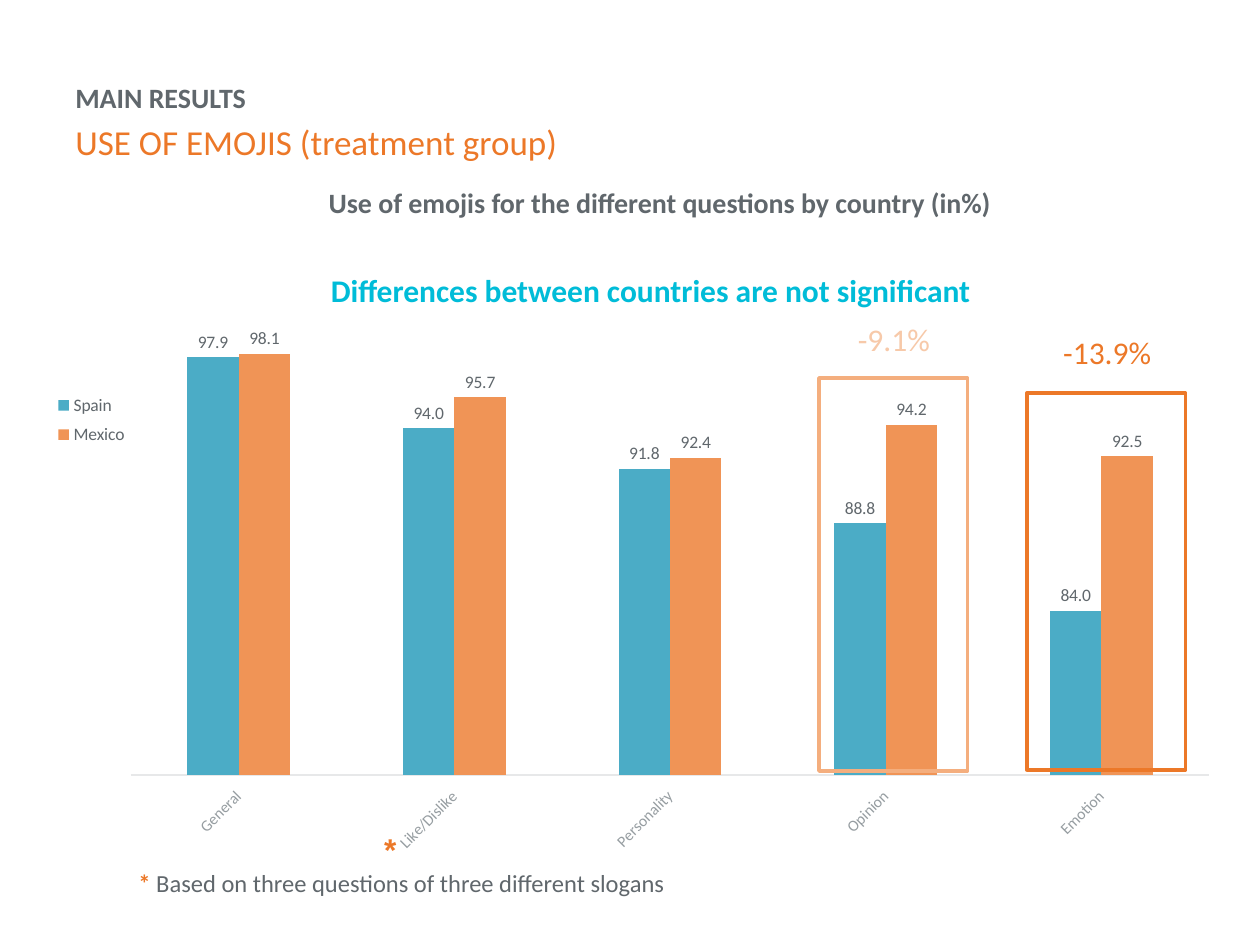
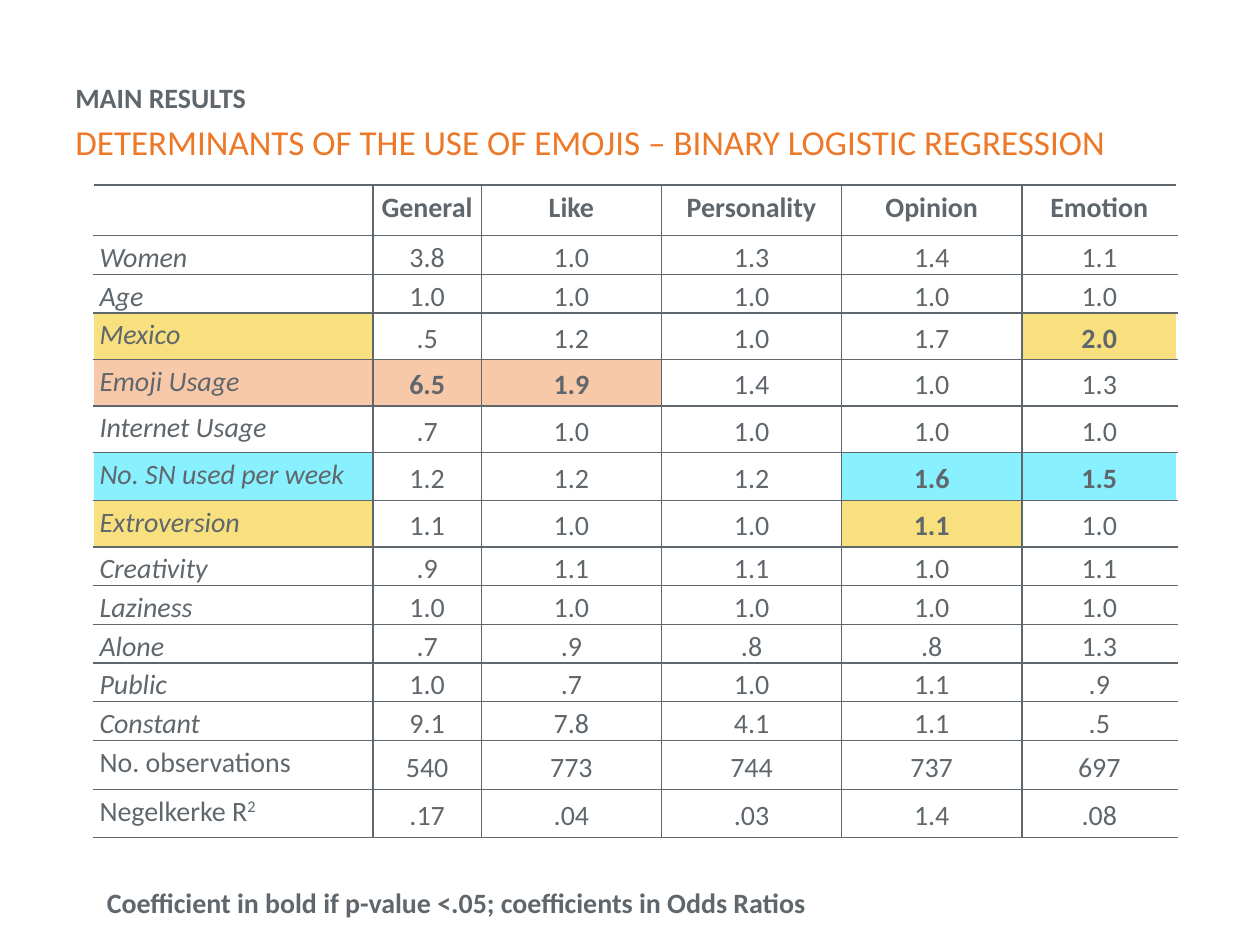
from lxml import etree
from pptx import Presentation
from pptx import util as u
from pptx.chart import data as chart_data
from pptx.dml.color import RGBColor
from pptx.enum import chart as ch, shapes, text as t
from pptx.oxml import ns

GREY, PALE_GREY, RULE = "60676C", "969DA1", "E7E8E9"
ORANGE, MID_ORANGE, PALE_ORANGE = "EC7828", "F4AE7E", "F7C9A9"
SPAIN, MEXICO, CYAN = "4BACC6", "F09456", "00BCD8"
YELLOW, PALE_CYAN = "F7E07D", "89F0FF"
COLUMNS, ROWS = 100, 75  # slide grid

QUESTIONS = ["General", "Like/Dislike", "Personality", "Opinion", "Emotion"]
EMOJI_USE = {
    "Spain": (SPAIN, [97.9, 94.0, 91.8, 88.8, 84.0]),
    "Mexico": (MEXICO, [98.1, 95.7, 92.4, 94.2, 92.5]),
}

# predictor, odds ratios, row height, highlight colour, significant columns
HEADINGS = ["", "General", "Like", "Personality", "Opinion", "Emotion"]
PREDICTORS = [
    ("Women", "3.8 1.0 1.3 1.4 1.1", 3, None, ()),
    ("Age", "1.0 1.0 1.0 1.0 1.0", 3, None, ()),
    ("Mexico", ".5 1.2 1.0 1.7 2.0", 3.7, YELLOW, (5,)),
    ("Emoji Usage", "6.5 1.9 1.4 1.0 1.3", 3.7, PALE_ORANGE, (1, 2)),
    ("Internet Usage", ".7 1.0 1.0 1.0 1.0", 3.7, None, ()),
    ("No. SN used per week", "1.2 1.2 1.2 1.6 1.5", 3.8, PALE_CYAN, (4, 5)),
    ("Extroversion", "1.1 1.0 1.0 1.1 1.0", 3.7, YELLOW, (4,)),
    ("Creativity", ".9 1.1 1.1 1.0 1.1", 3, None, ()),
    ("Laziness", "1.0 1.0 1.0 1.0 1.0", 3, None, ()),
    ("Alone", ".7 .9 .8 .8 1.3", 3, None, ()),
    ("Public", "1.0 .7 1.0 1.1 .9", 3, None, ()),
    ("Constant", "9.1 7.8 4.1 1.1 .5", 3, None, ()),
]
MODEL_FIT = [
    ("No. observations", "540 773 744 737 697", 3.9),
    ("Negelkerke R", ".17 .04 .03 1.4 .08", 3.8),
]


def rgb(color):
    return RGBColor.from_string(color)


def style_font(font, size, color, bold=False, italic=False, name="Calibri"):
    font.name, font.size, font.bold, font.italic = name, u.Pt(size), bold, italic
    font.color.rgb = rgb(color)


def add_run(paragraph, words, size, color, **style):
    run = paragraph.add_run()
    run.text = words
    style_font(run.font, size, color, **style)
    return run


def place_in_chart(parent, index, inner=False, **shares):
    """Give a plot area or legend a fixed place, in shares of the chart."""
    for old in parent.findall(ns.qn("c:layout")):
        parent.remove(old)
    layout = etree.Element(ns.qn("c:layout"))
    manual = etree.SubElement(layout, ns.qn("c:manualLayout"))
    settings = {"layoutTarget": "inner"} if inner else {}
    settings |= {"xMode": "edge", "yMode": "edge"} | shares
    for tag, value in settings.items():
        etree.SubElement(manual, ns.qn(f"c:{tag}")).set("val", str(value))
    parent.insert(index, layout)


def rule_cell(cell, sides):
    properties = cell._tc.get_or_add_tcPr()
    for index, side in enumerate(sides):
        line = etree.Element(ns.qn(f"a:ln{side}"), w=str(u.Pt(1)))
        fill = etree.SubElement(line, ns.qn("a:solidFill"))
        etree.SubElement(fill, ns.qn("a:srgbClr"), val=GREY)
        properties.insert(index, line)


class Deck:
    def __init__(self):
        self.show = Presentation()
        self.show.slide_width, self.show.slide_height = u.Inches(10), u.Inches(7.5)
        self.slide = None

    def x(self, columns):
        return round(self.show.slide_width * columns / COLUMNS)

    def y(self, rows):
        return round(self.show.slide_height * rows / ROWS)

    def box(self, left, top, width, height):
        return self.x(left), self.y(top), self.x(width), self.y(height)

    def new_slide(self, subtitle):
        self.slide = self.show.slides.add_slide(self.show.slide_layouts[6])
        self.text((5, 5.9, 90, 4), "MAIN RESULTS", 16, GREY, bold=True)
        self.text((5, 9.1, 94, 4.2), subtitle, 20, ORANGE)

    def text(self, place, words, size, color, centred=False, wrap=True, **style):
        frame = self.slide.shapes.add_textbox(*self.box(*place)).text_frame
        frame.word_wrap = wrap
        paragraph = frame.paragraphs[0]
        if centred:
            paragraph.alignment = t.PP_ALIGN.CENTER
        add_run(paragraph, words, size, color, **style)
        return paragraph

    def outline(self, place, color):
        frame = self.slide.shapes.add_shape(shapes.MSO_SHAPE.RECTANGLE, *self.box(*place))
        frame.shadow.inherit = False
        frame.fill.background()
        frame.line.color.rgb = rgb(color)
        frame.line.width = u.Pt(2)

    def column_chart(self, place, categories, series):
        data = chart_data.CategoryChartData(number_format="0.0")
        data.categories = categories
        for name, (_, values) in series.items():
            data.add_series(name, values)
        chart = self.slide.shapes.add_chart(
            ch.XL_CHART_TYPE.COLUMN_CLUSTERED, *self.box(*place), data).chart
        chart.has_title = False
        style_font(chart.font, 10, GREY)

        plot = chart.plots[0]
        plot.gap_width, plot.overlap, plot.vary_by_categories = 219, 0, False
        for bars, (color, _) in zip(plot.series, series.values()):
            bars.format.fill.solid()
            bars.format.fill.fore_color.rgb = rgb(color)
            labels = bars.data_labels
            labels.show_value = True
            labels.number_format, labels.number_format_is_linked = "0.0", False
            labels.position = ch.XL_LABEL_POSITION.OUTSIDE_END
            style_font(labels.font, 10, GREY)

        values_axis, questions_axis = chart.value_axis, chart.category_axis
        values_axis.minimum_scale, values_axis.maximum_scale = 75, 100
        values_axis.has_major_gridlines = values_axis.visible = False
        questions_axis.major_tick_mark = ch.XL_TICK_MARK.NONE
        questions_axis.tick_label_position = ch.XL_TICK_LABEL_POSITION.LOW
        questions_axis.format.line.color.rgb = rgb(RULE)
        questions_axis.format.line.width = u.Pt(0.75)
        style_font(questions_axis.tick_labels.font, 9, PALE_GREY)
        axis_text = questions_axis._element.find(ns.qn("c:txPr"))
        axis_text.find(ns.qn("a:bodyPr")).set("rot", str(-45 * 60000))

        chart.has_legend = True
        legend = chart.legend
        legend.position = ch.XL_LEGEND_POSITION.RIGHT
        legend.include_in_layout = False
        style_font(legend.font, 10, GREY)
        place_in_chart(legend._element, 1, x=0.01, y=0.3, w=0.08, h=0.1)
        plot_area = chart.element.find(".//" + ns.qn("c:plotArea"))
        place_in_chart(plot_area, 0, inner=True, x=0.083, y=0.202, w=0.901, h=0.669)

    def table(self, left, top, widths, heights):
        table = self.slide.shapes.add_table(
            len(heights), len(widths),
            *self.box(left, top, sum(widths), sum(heights))).table
        table.first_row = table.horz_banding = False
        for column, width in zip(table.columns, widths):
            column.width = self.x(width)
        for row, height in zip(table.rows, heights):
            row.height = self.y(height)
            for index, cell in enumerate(row.cells):
                cell.fill.background()
                left_side = ["L"] if index else []
                right_side = ["R"] if index < len(widths) - 1 else []
                rule_cell(cell, left_side + right_side + ["T", "B"])
                cell.margin_left = cell.margin_right = self.x(0.5)
                cell.margin_top = cell.margin_bottom = 0
        return table

    def cell(self, cell, words, centred=True, middle=True, fill=None, **style):
        if middle:
            cell.vertical_anchor = t.MSO_ANCHOR.MIDDLE
        if fill:
            cell.fill.solid()
            cell.fill.fore_color.rgb = rgb(fill)
        paragraph = cell.text_frame.paragraphs[0]
        paragraph.line_spacing = 1.15
        if centred:
            paragraph.alignment = t.PP_ALIGN.CENTER
        if words:
            add_run(paragraph, words, 16, GREY, **style)
        return paragraph


def emoji_use_slide(deck):
    deck.new_slide("USE OF EMOJIS (treatment group)")
    deck.column_chart((2.5, 14.4, 95, 54.1), QUESTIONS, EMOJI_USE)
    deck.outline((81.5, 31.2, 12.6, 29.9), ORANGE)
    deck.text((83.4, 25.9, 10.7, 4), "-13.9%", 18, ORANGE)
    deck.outline((65, 30, 11.8, 31.2), MID_ORANGE)
    deck.text((67.1, 24.9, 8.1, 4), "-9.1%", 18, PALE_ORANGE)
    deck.text((7.9, 21, 87.5, 5.5), "Differences between countries are not significant",
              18, CYAN, centred=True, bold=True)
    deck.text((29.5, 65.4, 2.5, 4), "*", 18, ORANGE, bold=True, name="Arial")
    footnote = deck.text((10, 68.4, 87.5, 5.5), "* ", 14, ORANGE, bold=True)
    add_run(footnote, "Based on three questions of three different slogans", 14, GREY)
    deck.text((25.1, 14.2, 57.2, 6.7),
              "Use of emojis for the different questions by country (in%)",
              16, GREY, bold=True)


def regression_slide(deck):
    deck.new_slide("DETERMINANTS OF THE USE OF EMOJIS – BINARY LOGISTIC REGRESSION")
    rows = PREDICTORS + [(*fit, None, ()) for fit in MODEL_FIT]
    table = deck.table(7.4, 14.7, [22.2, 8.6, 14.3, 14.3, 14.3, 12.3],
                       [4] + [row[2] for row in rows])
    for column, heading in enumerate(HEADINGS):
        deck.cell(table.cell(0, column), heading, middle=False, bold=True)
    for index, (label, ratios, _, color, significant) in enumerate(rows, 1):
        label_line = deck.cell(table.cell(index, 0), label, centred=False, middle=False,
                               fill=color, italic=index <= len(PREDICTORS))
        for column, ratio in enumerate(ratios.split(), 1):
            strong = column in significant
            deck.cell(table.cell(index, column), ratio,
                      fill=color if strong else None, bold=strong)
    square = add_run(label_line, "2", 16, GREY)
    square._r.get_or_add_rPr().set("baseline", "30000")
    deck.text((7.5, 69.8, 58.4, 3.7),
              "Coefficient in bold if p-value <.05; coefficients in Odds Ratios",
              16, GREY, wrap=False, bold=True)


def main():
    deck = Deck()
    emoji_use_slide(deck)
    regression_slide(deck)
    deck.show.save("out.pptx")


if __name__ == "__main__":
    main()
